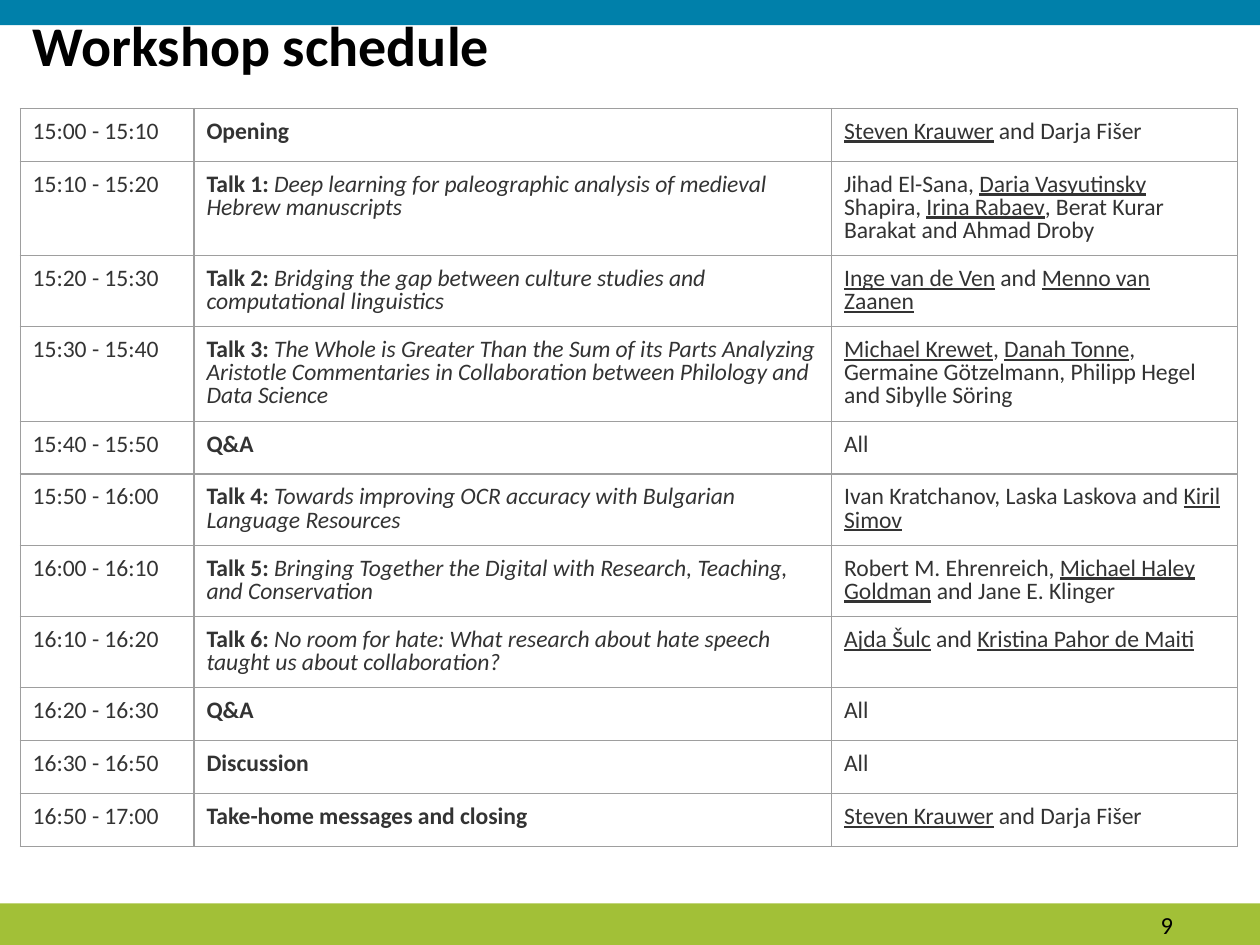
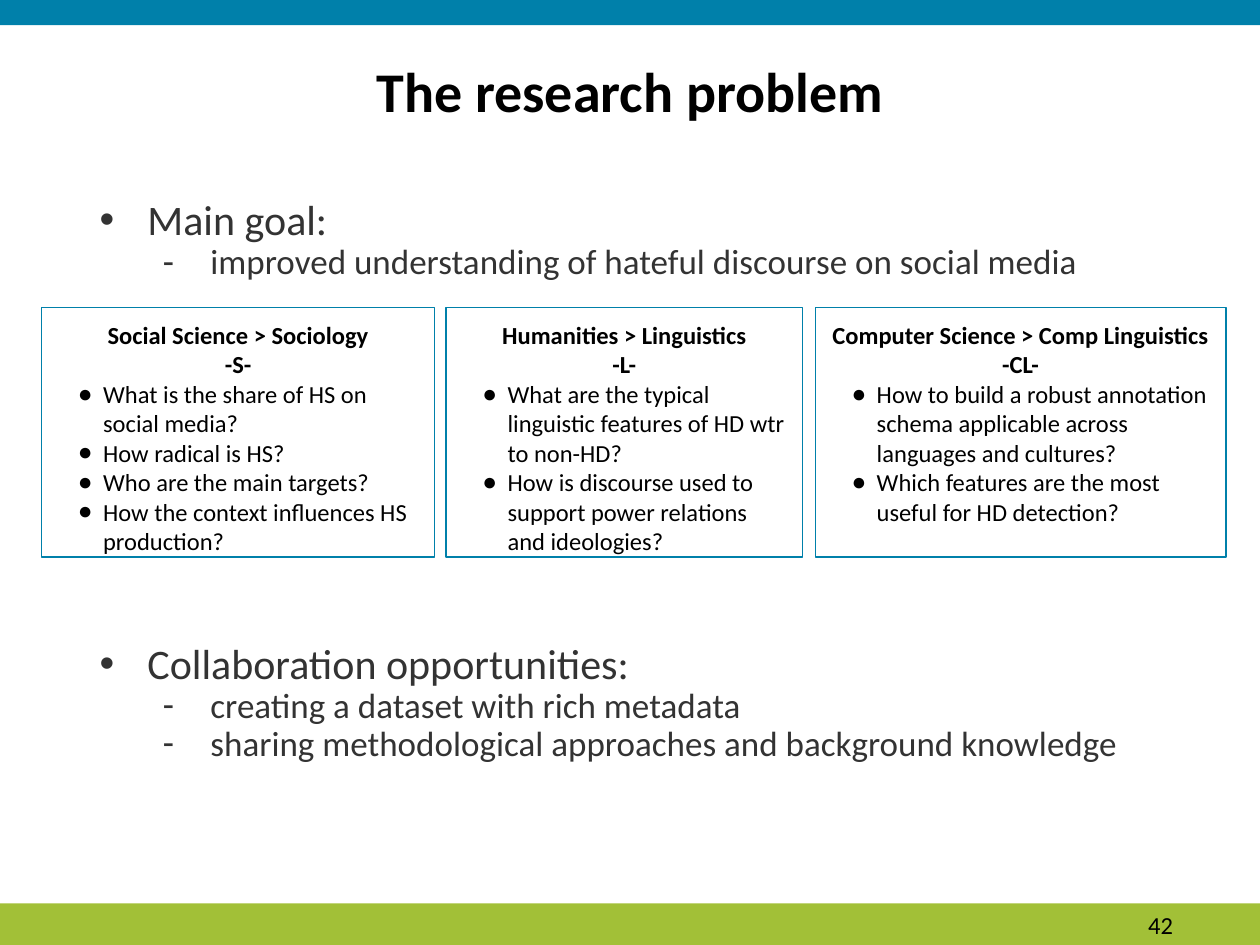
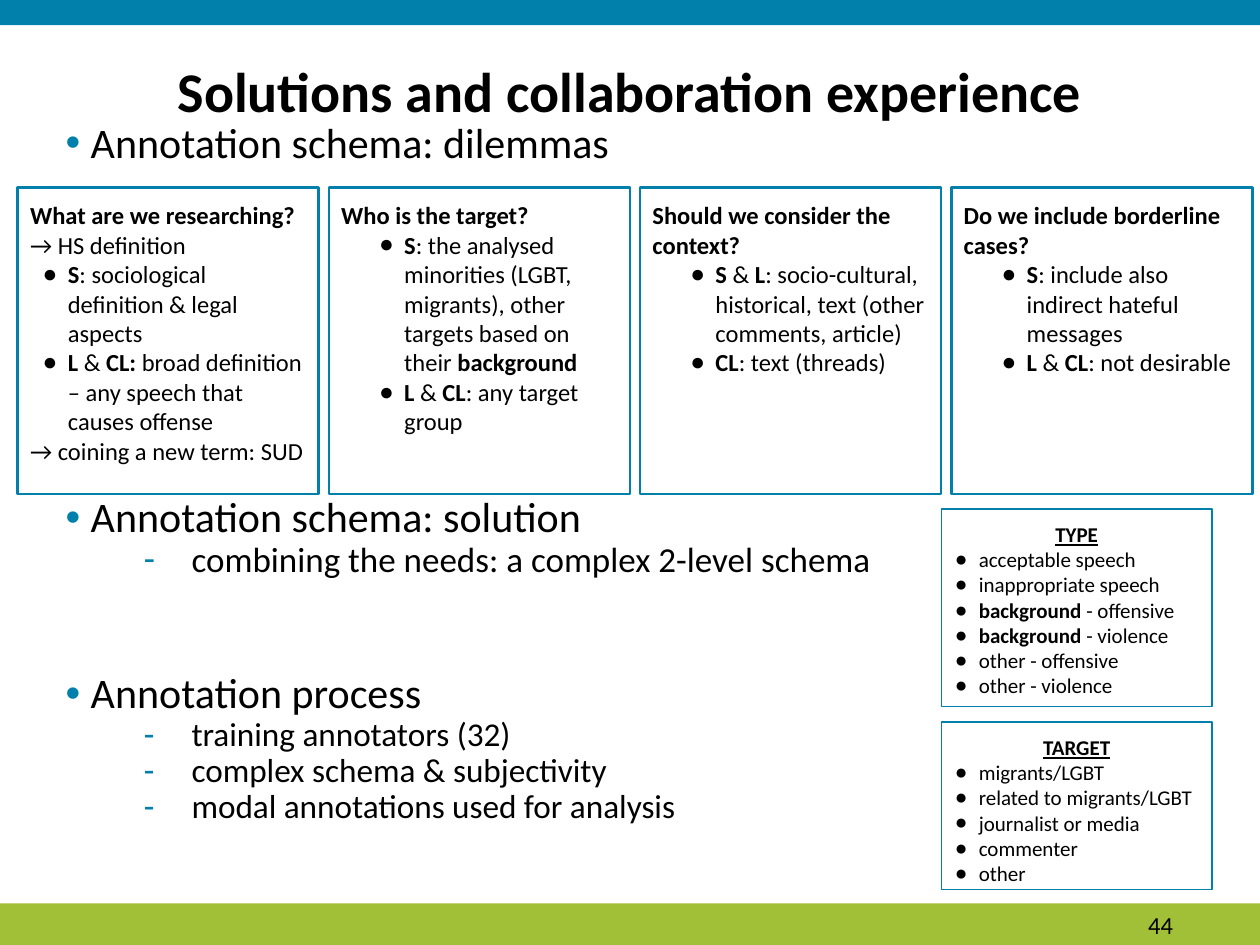
import pptx
import pptx.util
import pptx.dml.color
import pptx.enum.text
import pptx.enum.shapes
import pptx.oxml
import pptx.oxml.ns
from lxml import etree

Inches = pptx.util.Inches
Pt = pptx.util.Pt
ALIGN = pptx.enum.text.PP_ALIGN
ANCHOR = pptx.enum.text.MSO_ANCHOR
RECT = pptx.enum.shapes.MSO_SHAPE.RECTANGLE
qn = pptx.oxml.ns.qn

FONT = "Calibri"
COLORS = {"blue": "0080AA", "green": "A2C037", "black": "000000", "grey": "333333", "border": "9E9E9E"}
TITLE_ONLY, TITLE_BODY = 5, 1

SCHEDULE = [
    ("15:00 - 15:10", "Opening", "", [("Steven Krauwer", "u"), " and Darja Fišer"]),
    ("15:10 - 15:20", "Talk 1: ", "Deep learning for paleographic analysis of medieval Hebrew manuscripts",
     ["Jihad El-Sana, ", ("Daria Vasyutinsky", "u"), " Shapira, ", ("Irina Rabaev", "u"),
      ", Berat Kurar Barakat and Ahmad Droby"]),
    ("15:20 - 15:30", "Talk 2: ", "Bridging the gap between culture studies and computational linguistics",
     [("Inge van de Ven", "u"), " and ", ("Menno van Zaanen", "u")]),
    ("15:30 - 15:40", "Talk 3: ",
     "The Whole is Greater Than the Sum of its Parts Analyzing Aristotle Commentaries "
     "in Collaboration between Philology and Data Science",
     [("Michael Krewet", "u"), ", ", ("Danah Tonne", "u"),
      ", Germaine Götzelmann, Philipp Hegel and Sibylle Söring"]),
    ("15:40 - 15:50", "Q&A", "", ["All"]),
    ("15:50 - 16:00", "Talk 4: ", "Towards improving OCR accuracy with Bulgarian Language Resources",
     ["Ivan Kratchanov, Laska Laskova and ", ("Kiril Simov", "u")]),
    ("16:00 - 16:10", "Talk 5: ", "Bringing Together the Digital with Research, Teaching, and Conservation",
     ["Robert M. Ehrenreich, ", ("Michael Haley Goldman", "u"), " and Jane E. Klinger"]),
    ("16:10 - 16:20", "Talk 6: ",
     "No room for hate: What research about hate speech taught us about collaboration?",
     [("Ajda Šulc", "u"), " and ", ("Kristina Pahor de Maiti", "u")]),
    ("16:20 - 16:30", "Q&A", "", ["All"]),
    ("16:30 - 16:50", "Discussion", "", ["All"]),
    ("16:50 - 17:00", "Take-home messages and closing", "", [("Steven Krauwer", "u"), " and Darja Fišer"]),
]
COLUMN_WIDTHS = (1.38, 5.06, 3.22)

PROBLEM_OUTLINE = [
    (0, "Main goal:", 0),
    (1, "improved understanding of hateful discourse on social media", 0),
    (0, "Collaboration opportunities:", 206),
    (1, "creating a dataset with rich metadata", 0),
    (1, "sharing methodological approaches and background knowledge", 0),
]
DISCIPLINES = [
    (0.33, 3.12, ["Social Science > Sociology", "-S-"],
     ["What is the share of HS on social media?", "How radical is HS?",
      "Who are the main targets?", "How the context influences HS production?"]),
    (3.54, 2.83, ["Humanities > Linguistics", "-L-"],
     ["What are the typical linguistic features of HD wtr to non-HD?",
      "How is discourse used to support power relations and ideologies?"]),
    (6.47, 3.26, ["Computer Science > Comp Linguistics", "-CL-"],
     ["How to build a robust annotation schema applicable across languages and cultures?",
      "Which features are the most useful for HD detection?"]),
]

SOLUTION_OUTLINE = [
    (0, "Annotation schema: dilemmas", 0, 24),
    (0, "Annotation schema: solution", 188, 24),
    (1, "combining the needs: a complex 2-level schema", 0, 20),
    (0, "Annotation process", 53, 24),
    (1, "training annotators (32)", 0, 19),
    (1, "complex schema & subjectivity", 0, 19),
    (1, "modal annotations used for analysis", 0, 19),
]
DILEMMAS = [
    ("What are we researching?", 0.3, ["→ HS definition"],
     [[("S", "b"), ": sociological definition & legal aspects"],
      [("L ", "b"), "&", (" CL: ", "b"), "broad definition – any speech that causes offense"]],
     ["→ coining a new term: SUD"]),
    ("Who is the target?", 0.5, [],
     [[("S", "b"), ": the analysed minorities (LGBT, migrants), other targets based on their ",
       ("background", "b")],
      [("L ", "b"), "& ", ("CL", "b"), ": any target group"]], []),
    ("Should we consider the context?", 0.5, [],
     [[("S ", "b"), "&", (" L", "b"), ": socio-cultural, historical, text (other comments, article)"],
      [("CL", "b"), ": text (threads)"]], []),
    ("Do we include borderline cases?", 0.5, [],
     [[("S", "b"), ": include also indirect hateful messages"],
      [("L", "b"), " & ", ("CL", "b"), ": not desirable"]], []),
]
LEVELS = [
    ("TYPE", 4.04, 1.57,
     [["acceptable speech"], ["inappropriate speech"], [("background", "b"), " - offensive"],
      [("background", "b"), " - violence"], ["other - offensive"], ["other - violence"]]),
    ("TARGET", 5.73, 1.33,
     [["migrants/LGBT"], ["related to migrants/LGBT"], ["journalist or media"], ["commenter"], ["other"]]),
]


def rgb(name):
    return pptx.dml.color.RGBColor.from_string(COLORS[name])


def place(sp, left, top, width, height):
    sp.left, sp.top, sp.width, sp.height = (Inches(v) for v in (left, top, width, height))


def frame(tf, margins, anchor=ANCHOR.TOP):
    tf.word_wrap = True
    tf.auto_size = pptx.enum.text.MSO_AUTO_SIZE.NONE
    tf.vertical_anchor = anchor
    tf.margin_left, tf.margin_top, tf.margin_right, tf.margin_bottom = (Inches(m) for m in margins)


def add_bullet(p, char, color, left, hang):
    pPr = p._p.get_or_add_pPr()
    pPr.set("marL", str(Inches(left)))
    pPr.set("indent", str(-Inches(hang)))
    clr = etree.SubElement(pPr, qn("a:buClr"))
    etree.SubElement(clr, qn("a:srgbClr")).set("val", COLORS[color])
    etree.SubElement(pPr, qn("a:buFont")).set("typeface", "Arial")
    etree.SubElement(pPr, qn("a:buChar")).set("char", char)


def add_par(tf, runs, size, color="black", align=ALIGN.LEFT, line=1.0, before=0, level=0, bullet=None):
    p = tf.paragraphs[0] if not tf.paragraphs[0].runs else tf.add_paragraph()
    p.level = level
    p.alignment = align
    p.line_spacing = line
    p.space_before = Pt(before)
    if bullet:
        add_bullet(p, *bullet)
    for run in runs:
        text, style = (run, "") if isinstance(run, str) else run
        r = p.add_run()
        r.text = text
        r.font.name = FONT
        r.font.size = Pt(size)
        r.font.color.rgb = rgb(color)
        r.font.bold = "b" in style
        r.font.italic = "i" in style
        r.font.underline = "u" in style


def add_rect(s, at, fill=None, line=None):
    sp = s.shapes.add_shape(RECT, *(Inches(v) for v in at))
    sp.shadow.inherit = False
    if fill:
        sp.fill.solid()
        sp.fill.fore_color.rgb = rgb(fill)
        sp.line.fill.background()
    else:
        sp.fill.background()
        sp.line.color.rgb = rgb("blue")
        sp.line.width = Pt(line)
        frame(sp.text_frame, (0.1, 0.1, 0.1, 0.1))
    return sp.text_frame


def add_slide(prs, layout, title, number, title_at, align=ALIGN.CENTER, line=1.0):
    s = prs.slides.add_slide(prs.slide_layouts[layout])
    add_rect(s, (0, 7.17, 10, 0.33), fill="green")
    add_rect(s, (0, 0, 10, 0.2), fill="blue")
    place(s.shapes.title, *title_at)
    tf = s.shapes.title.text_frame
    frame(tf, (0.1, 0.05, 0.1, 0.05))
    add_par(tf, [(title, "b")], 32, align=align, line=line)
    tf = s.shapes.add_textbox(Inches(7.06), Inches(7.19), Inches(2.25), Inches(0.29)).text_frame
    frame(tf, (0.1, 0.05, 0, 0.05), ANCHOR.MIDDLE)
    add_par(tf, [str(number)], 14, align=ALIGN.RIGHT)
    return s


def add_border(cell):
    tcPr = cell._tc.get_or_add_tcPr()
    for i, side in enumerate(("lnL", "lnR", "lnT", "lnB")):
        ln = etree.Element(qn("a:" + side), w=str(Pt(0.75)))
        fill = etree.SubElement(ln, qn("a:solidFill"))
        etree.SubElement(fill, qn("a:srgbClr")).set("val", COLORS["border"])
        tcPr.insert(i, ln)


def schedule_slide(prs):
    s = add_slide(prs, TITLE_ONLY, "Workshop schedule", 9, (0.16, 0.09, 8.62, 1.18), ALIGN.LEFT, 0.9)
    row_height = 0.42
    table = s.shapes.add_table(
        len(SCHEDULE), len(COLUMN_WIDTHS), Inches(0.16), Inches(0.86),
        Inches(sum(COLUMN_WIDTHS)), Inches(row_height * len(SCHEDULE))).table
    table.first_row = table.horz_banding = False
    for column, width in zip(table.columns, COLUMN_WIDTHS):
        column.width = Inches(width)
    for row, (time, label, topic, people) in zip(table.rows, SCHEDULE):
        row.height = Inches(row_height)
        session = [(label, "b")] + ([(topic, "i")] if topic else [])
        for cell, runs in zip(row.cells, ([time], session, people)):
            cell.fill.background()
            add_border(cell)
            cell.margin_left = cell.margin_right = cell.margin_top = cell.margin_bottom = Inches(0.1)
            add_par(cell.text_frame, runs, 13.5, "grey", line=0.8)


def problem_slide(prs):
    s = add_slide(prs, TITLE_BODY, "The research problem", 42, (0.69, 0.4, 8.62, 0.8))
    body = s.placeholders[1]
    place(body, 0.57, 1.16, 8.62, 5.85)
    frame(body.text_frame, (0.1, 0.42, 0.1, 0.05))
    for level, text, before in PROBLEM_OUTLINE:
        add_par(body.text_frame, [text], (24, 20)[level], "grey", line=0.9, before=before, level=level,
                bullet=("•-"[level], "grey", (0.5, 1)[level], 0.38))
    for left, width, heading, questions in DISCIPLINES:
        tf = add_rect(s, (left, 2.44, width, 1.98), line=0.75)
        for text in heading:
            add_par(tf, [(text, "b")], 14, align=ALIGN.CENTER)
        for text in questions:
            add_par(tf, [text], 14, bullet=("●", "black", 0.39, 0.2))


def solution_slide(prs):
    s = add_slide(prs, TITLE_BODY, "Solutions and collaboration experience", 44, (0.69, 0.4, 8.62, 1.18))
    body = s.placeholders[1]
    place(body, 0.42, 0.92, 8.62, 6.21)
    frame(body.text_frame, (0.1, 0.05, 0.1, 0.05))
    for level, text, before, size in SOLUTION_OUTLINE:
        add_par(body.text_frame, [text], size, line=0.9, before=before, level=level,
                bullet=("•-"[level], "blue", (0.2, 1)[level], (0.23, 0.38)[level]))
    for i, (question, indent, intro, answers, outcome) in enumerate(DILEMMAS):
        tf = add_rect(s, (0.14 + 2.47 * i, 1.49, 2.39, 2.43), line=1.5)
        add_par(tf, [(question, "b")], 14)
        for text in intro:
            add_par(tf, [text], 14)
        for runs in answers:
            add_par(tf, runs, 14, bullet=("●", "black", indent, 0.2))
        for text in outcome:
            add_par(tf, [text], 14)
    for heading, top, height, labels in LEVELS:
        tf = add_rect(s, (7.47, top, 2.15, height), line=0.75)
        add_par(tf, [(heading, "bu")], 12, align=ALIGN.CENTER)
        for runs in labels:
            add_par(tf, runs, 12, bullet=("●", "black", 0.2, 0.19))


def main():
    prs = pptx.Presentation()
    prs.slide_width, prs.slide_height = Inches(10), Inches(7.5)
    schedule_slide(prs)
    problem_slide(prs)
    solution_slide(prs)
    prs.save("out.pptx")


if __name__ == "__main__":
    main()
